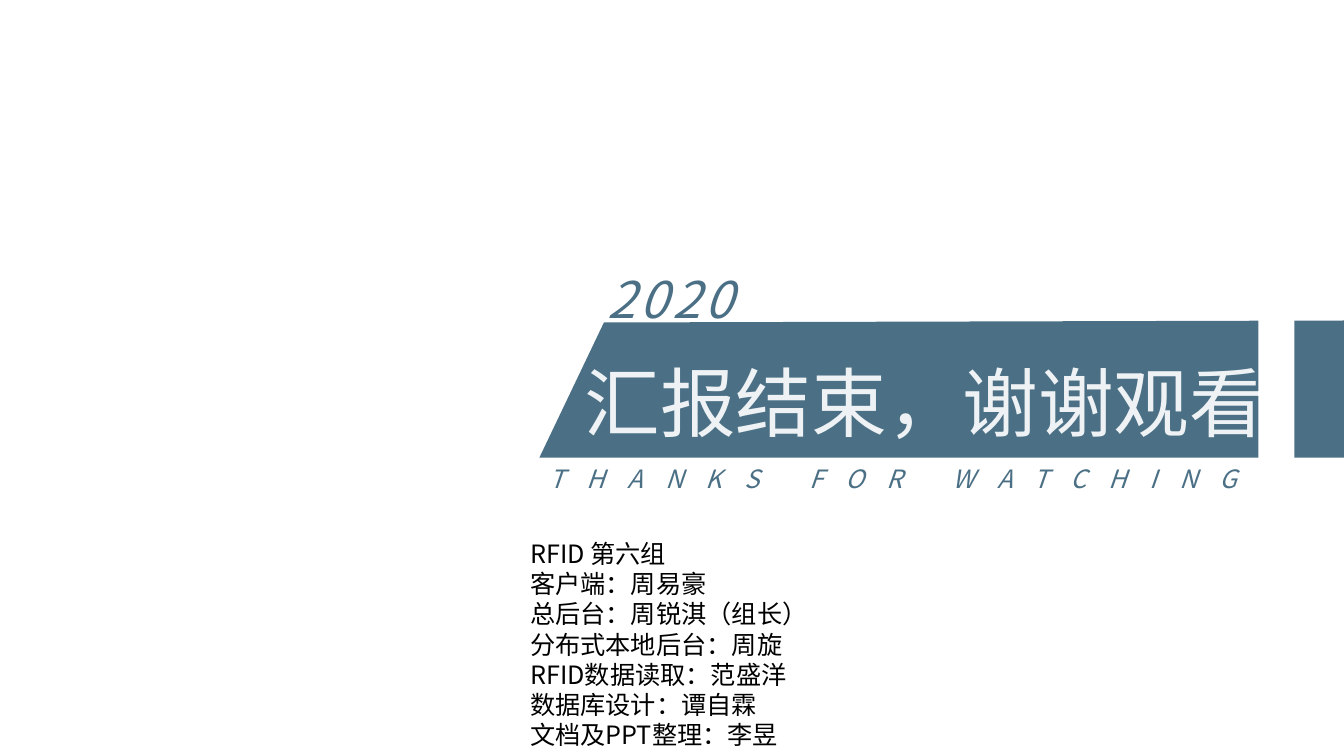
import pptx
import pptx.util
import pptx.dml.color
import pptx.enum.shapes
import pptx.enum.text
import pptx.oxml.ns
from lxml import etree

Inches = pptx.util.Inches
FONT = "Noto Sans CJK SC"
COLORS = {"band": "4B7085", "title": "EEF2F4", "body": "000000", "gap": "FFFFFF"}
TEAM = [
    "RFID 第六组",
    "客户端：周易豪",
    "总后台：周锐淇（组长）",
    "分布式本地后台：周旋",
    "RFID数据读取：范盛洋",
    "数据库设计：谭自霖",
    "文档及PPT整理：李昱",
]


def color(name):
    return pptx.dml.color.RGBColor.from_string(COLORS[name])


def paint(shape, name):
    shape.fill.solid()
    shape.fill.fore_color.rgb = color(name)
    shape.line.fill.background()
    shape.shadow.inherit = False


def add_text(page, left, top, width, height, lines, size, name,
             leading=1.28, italic=False, tracking=0):
    box = page.shapes.add_textbox(Inches(left), Inches(top), Inches(width), Inches(height))
    frame = box.text_frame
    frame.word_wrap = True
    frame.vertical_anchor = pptx.enum.text.MSO_ANCHOR.TOP
    for index, line in enumerate(lines):
        para = frame.paragraphs[0] if index == 0 else frame.add_paragraph()
        para.line_spacing = pptx.util.Pt(size * leading)
        span = para.add_run()
        span.text = line
        span.font.size = pptx.util.Pt(size)
        span.font.name = FONT
        span.font.italic = italic
        span.font.color.rgb = color(name)
        # East Asian typeface and letter spacing
        props = span.font._element
        etree.SubElement(props, pptx.oxml.ns.qn("a:ea")).set("typeface", FONT)
        if tracking:
            props.set("spc", str(tracking * 100))


def add_banner(page, left, top, width, height):
    # Slanted band running to the slide's right edge
    right, bottom = left + width, top + height
    outline = page.shapes.build_freeform(Inches(left + 0.64), Inches(top + 0.02), scale=1.0)
    corners = [(right, top), (right, bottom), (left, bottom)]
    outline.add_line_segments([(Inches(x), Inches(y)) for x, y in corners], close=True)
    paint(outline.convert_to_shape(), "band")

    # Year, title and subtitle
    add_text(page, left + 0.58, top - 0.61, 2.79, 0.71, ["2020"], 36, "band",
             italic=True, tracking=3)
    add_text(page, left + 0.35, top + 0.24, 7.14, 0.88, ["汇报结束，谢谢观看"], 54, "title")
    add_text(page, left, bottom - 0.01, 8.25, 0.4, ["THANKS FOR WATCHING"], 18, "band",
             italic=True, tracking=16)

    # White gap that cuts the band
    gap = page.shapes.add_shape(
        pptx.enum.shapes.MSO_SHAPE.RECTANGLE,
        Inches(right - 0.85), Inches(top - 1.06), Inches(0.36), Inches(4.23))
    paint(gap, "gap")


def add_team(page, left, top, width, height):
    add_text(page, left, top, width, height, TEAM, 18, "body", leading=1.2)


def main():
    deck = pptx.Presentation()
    deck.slide_width, deck.slide_height = Inches(13.33), Inches(7.5)
    page = deck.slides.add_slide(deck.slide_layouts[6])
    add_banner(page, 5.35, 3.18, 7.98, 1.36)
    add_team(page, 5.16, 5.29, 6.91, 2.21)
    deck.save("out.pptx")


if __name__ == "__main__":
    main()
